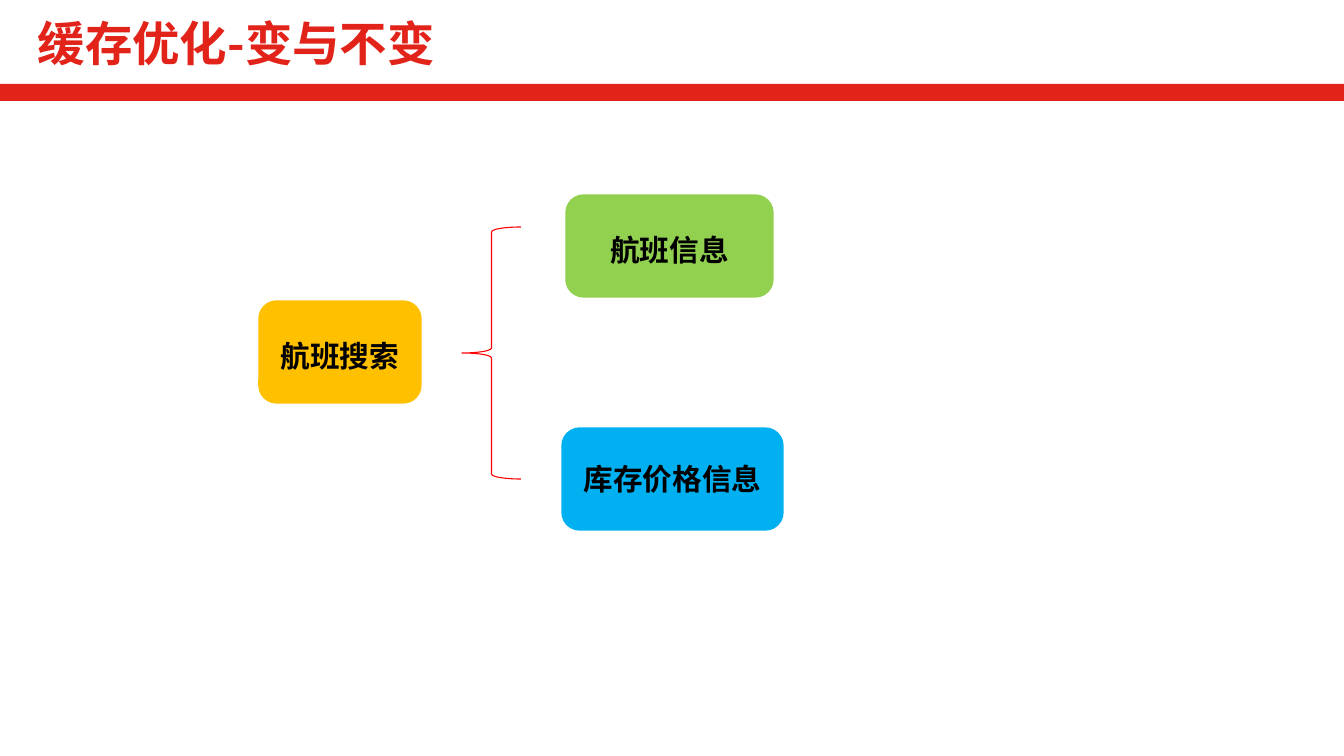
import pptx
import pptx.util
import pptx.dml.color
import pptx.enum.shapes
import pptx.enum.text
import pptx.oxml
import pptx.oxml.ns

PX = 8572.5  # EMU per px
RGBColor = pptx.dml.color.RGBColor
SHAPES = pptx.enum.shapes.MSO_SHAPE
ALIGN = pptx.enum.text.PP_ALIGN
ANCHOR = pptx.enum.text.MSO_ANCHOR

BRAND_RED = RGBColor(0xE2, 0x23, 0x1A)
BRACE_RED = RGBColor(0xFF, 0x00, 0x00)
AMBER = RGBColor(0xFF, 0xC0, 0x00)
GREEN = RGBColor(0x92, 0xD0, 0x50)
BLUE = RGBColor(0x00, 0xB0, 0xF0)
BLACK = RGBColor(0x00, 0x00, 0x00)
CJK_FONT = "Noto Sans CJK SC"


def px(*lengths):
    return [pptx.util.Emu(round(length * PX)) for length in lengths]


def add_run(paragraph, text, size, font_name, color):
    run = paragraph.add_run()
    run.text = text
    run.font.size = pptx.util.Pt(size)
    run.font.bold = True
    run.font.color.rgb = color
    run.font.name = font_name
    east_asian = pptx.oxml.parse_xml(
        f'<a:ea {pptx.oxml.ns.nsdecls("a")} typeface="{CJK_FONT}"/>')
    run.font._element.find(pptx.oxml.ns.qn("a:latin")).addnext(east_asian)


presentation = pptx.Presentation()
presentation.slide_width, presentation.slide_height = px(1344, 756)
slide = presentation.slides.add_slide(presentation.slide_layouts[5])

# Title
title = slide.shapes.title
title.left, title.top, title.width, title.height = px(27, 15, 714, 76)
title.text_frame.vertical_anchor = ANCHOR.TOP
title.text_frame.auto_size = pptx.enum.text.MSO_AUTO_SIZE.NONE
paragraph = title.text_frame.paragraphs[0]
paragraph.alignment = ALIGN.LEFT
paragraph.line_spacing = 0.9
add_run(paragraph, "缓存优化-变与不变", 32, CJK_FONT, BRAND_RED)

# Bar under the title
bar = slide.shapes.add_shape(SHAPES.RECTANGLE, *px(0, 84, 1344, 17))
bar.shadow.inherit = False
bar.fill.solid()
bar.fill.fore_color.rgb = BRAND_RED
bar.line.fill.background()

# Search and the two kinds of data behind it: text, box, top inset, colour
nodes = [
    ("航班搜索", (260, 302, 160, 100), 8, AMBER),
    ("航班信息", (567, 196, 205, 100), 8, GREEN),
    ("库存价格信息", (563, 429, 219, 100), 0, BLUE),
]
for text, box, top_inset, color in nodes:
    node = slide.shapes.add_shape(SHAPES.ROUNDED_RECTANGLE, *px(*box))
    node.shadow.inherit = False
    node.fill.solid()
    node.fill.fore_color.rgb = color
    node.line.color.rgb = color
    node.line.width = pptx.util.Pt(2.25)
    frame = node.text_frame
    frame.word_wrap = False
    frame.vertical_anchor = ANCHOR.MIDDLE
    frame.margin_top, frame.margin_bottom = px(top_inset, 0)
    paragraph = frame.paragraphs[0]
    paragraph.alignment = ALIGN.CENTER
    add_run(paragraph, text, 20, "Calibri", BLACK)

# Brace
brace = slide.shapes.add_shape(SHAPES.LEFT_BRACE, *px(462, 227, 59, 252))
brace.shadow.inherit = False
brace.fill.background()
brace.line.color.rgb = BRACE_RED
brace.line.width = pptx.util.Pt(0.75)

presentation.save("out.pptx")
